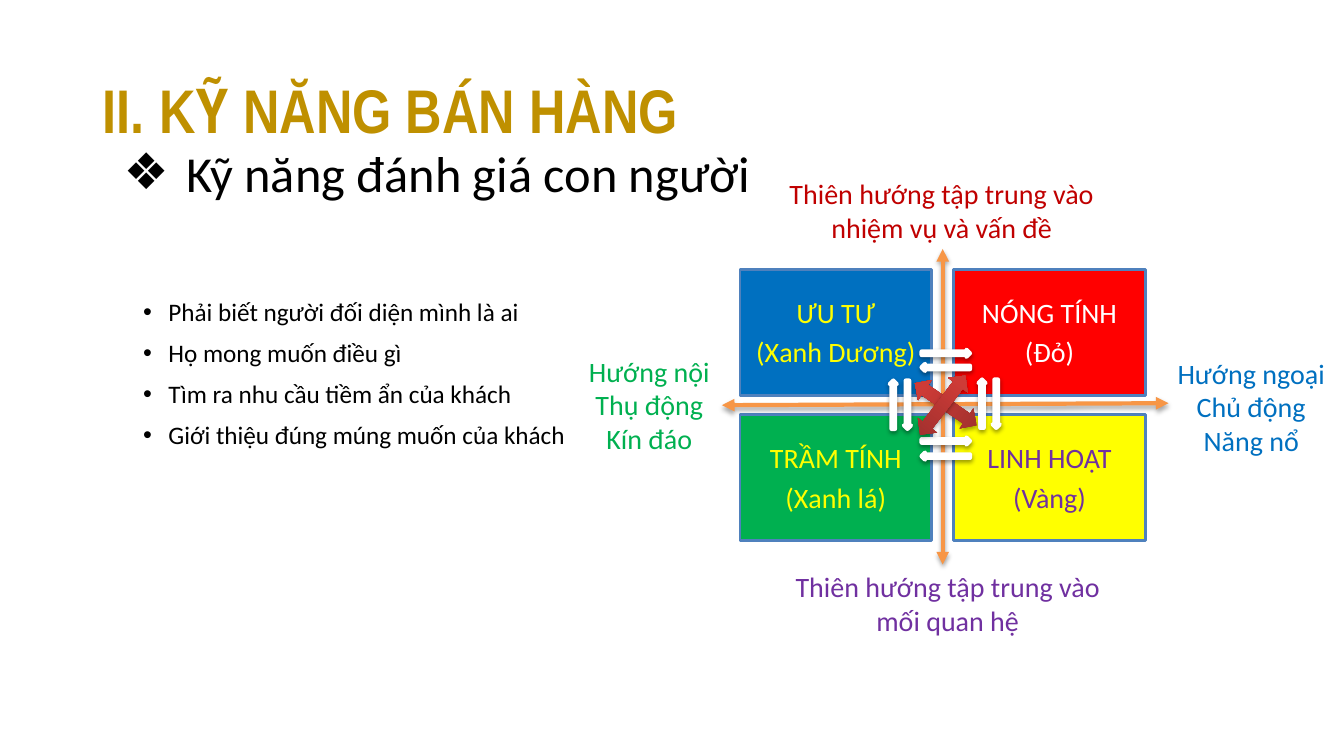
"""Build the sales skills slide on reading four personality types."""
from lxml import etree
from pptx import Presentation
from pptx.dml.color import RGBColor
from pptx.enum.shapes import MSO_CONNECTOR, MSO_SHAPE
from pptx.enum.text import MSO_ANCHOR, MSO_AUTO_SIZE, PP_ALIGN
from pptx.oxml import parse_xml
from pptx.oxml.ns import nsdecls, qn
from pptx.util import Inches, Pt

GOLD = RGBColor(0xBF, 0x90, 0x00)
BLACK = RGBColor(0x00, 0x00, 0x00)
WHITE = RGBColor(0xFF, 0xFF, 0xFF)
DARK_RED = RGBColor(0xC0, 0x00, 0x00)
RED = RGBColor(0xFF, 0x00, 0x00)
BLUE = RGBColor(0x00, 0x70, 0xC0)
GREEN = RGBColor(0x00, 0xB0, 0x50)
YELLOW = RGBColor(0xFF, 0xFF, 0x00)
PURPLE = RGBColor(0x70, 0x30, 0xA0)
BORDER = RGBColor(0x4F, 0x81, 0xBD)
ORANGE = RGBColor(0xF7, 0x96, 0x46)
TEAL = RGBColor(0x4B, 0xAC, 0xC6)
OLIVE = RGBColor(0x9B, 0xBB, 0x59)
BRICK = RGBColor(0x9C, 0x2F, 0x2D)
CORAL = RGBColor(0xCE, 0x3B, 0x37)


def write_lines(text_frame, lines, size, color, align, space=0, bullet=None, indent=0):
    text_frame.word_wrap = True
    for index, line in enumerate(lines):
        paragraph = text_frame.paragraphs[0] if index == 0 else text_frame.add_paragraph()
        paragraph.text = line
        paragraph.alignment = align
        paragraph.space_before = Pt(space if index else 0)
        if bullet:
            properties = paragraph._p.get_or_add_pPr()
            properties.set("marL", str(Inches(indent)))
            properties.set("indent", str(-Inches(indent)))
            etree.SubElement(properties, qn("a:buFont")).set("typeface", "Arial")
            etree.SubElement(properties, qn("a:buChar")).set("char", bullet)
        paragraph.font.name = "Calibri"
        paragraph.font.size = Pt(size)
        paragraph.font.color.rgb = color


def add_shadow(shape, opacity):
    properties = shape._element.spPr
    for effects in properties.findall(qn("a:effectLst")):
        properties.remove(effects)
    properties.append(parse_xml(
        f'<a:effectLst {nsdecls("a")}><a:outerShdw blurRad="{Pt(3.1)}" dist="{Pt(1.8)}" '
        f'dir="5400000" rotWithShape="0"><a:srgbClr val="000000">'
        f'<a:alpha val="{opacity * 1000}"/></a:srgbClr></a:outerShdw></a:effectLst>'))


presentation = Presentation()
presentation.slide_width = Inches(13.33)
presentation.slide_height = Inches(7.5)
slide = presentation.slides.add_slide(presentation.slide_layouts[1])
shapes = slide.shapes

title, body = shapes.title, slide.placeholders[1]
title.left, title.top, title.width, title.height = map(Inches, (0.92, 0.4, 11.5, 1.45))
title.text_frame.text = "II. KỸ NĂNG BÁN HÀNG"
title.text_frame.vertical_anchor = MSO_ANCHOR.MIDDLE
heading = title.text_frame.paragraphs[0]
heading.alignment = PP_ALIGN.LEFT
heading.line_spacing = 0.9
heading.font.name = "Arial Narrow"
heading.font.size = Pt(44)
heading.font.bold = True
heading.font.color.rgb = GOLD

body.left, body.top, body.width, body.height = map(Inches, (1.32, 2.92, 5.54, 3.69))
advice = ["Phải biết người đối diện mình là ai", "Họ mong muốn điều gì",
          "Tìm ra nhu cầu tiềm ẩn của khách", "Giới thiệu đúng múng muốn của khách"]
write_lines(body.text_frame, advice, 18, BLACK, PP_ALIGN.LEFT, 10, "•", 0.25)
for paragraph in body.text_frame.paragraphs:
    paragraph.line_spacing = 0.9

subtitle = shapes.add_textbox(Inches(1.09), Inches(1.36), Inches(6.49), Inches(0.71))
write_lines(subtitle.text_frame, ["Kỹ năng đánh giá con người"], 36, BLACK,
            PP_ALIGN.CENTER, bullet="❖", indent=0.62)
subtitle.text_frame.word_wrap = False
subtitle.text_frame.auto_size = MSO_AUTO_SIZE.SHAPE_TO_FIT_TEXT

quadrants = [
    (["ƯU TƯ", "(Xanh Dương)"], BLUE, YELLOW),
    (["NÓNG TÍNH", "(Đỏ)"], RED, WHITE),
    (["TRẦM TÍNH", "(Xanh lá)"], GREEN, YELLOW),
    (["LINH HOẠT", "(Vàng)"], YELLOW, PURPLE),
]
for index, (lines, fill, color) in enumerate(quadrants):
    row, column = divmod(index, 2)
    box = shapes.add_shape(MSO_SHAPE.RECTANGLE, Inches(7.34 + 2.12 * column),
                           Inches(2.67 + 1.44 * row), Inches(1.9), Inches(1.25))
    box.shadow.inherit = False
    box.fill.solid()
    box.fill.fore_color.rgb = fill
    box.line.color.rgb = BORDER
    box.line.width = Pt(2)
    box.text_frame.vertical_anchor = MSO_ANCHOR.MIDDLE
    write_lines(box.text_frame, lines, 20, color, PP_ALIGN.CENTER, 4)

axis_labels = [
    (["Thiên hướng tập trung vào nhiệm vụ và vấn đề"], 7.42, 1.46, 3.84, DARK_RED),
    (["Thiên hướng tập trung vào mối quan hệ"], 7.57, 5.36, 3.66, PURPLE),
    (["Hướng ngoại", "Chủ động", "Năng nổ"], 11.46, 3.41, 1.9, BLUE),
    (["Hướng nội", "Thụ động", "Kín đáo"], 5.49, 3.39, 1.9, GREEN),
]
for lines, left, top, width, color in axis_labels:
    label = shapes.add_textbox(Inches(left), Inches(top), Inches(width), Inches(1.25))
    label.text_frame.vertical_anchor = MSO_ANCHOR.MIDDLE
    write_lines(label.text_frame, lines, 20, color, PP_ALIGN.CENTER)

for ends in [(9.35, 2.47, 9.35, 5.6), (7.16, 4.02, 11.59, 4)]:
    axis = shapes.add_connector(MSO_CONNECTOR.STRAIGHT, *map(Inches, ends))
    axis.line.color.rgb = ORANGE
    axis.line.width = Pt(3)
    for end in ("a:headEnd", "a:tailEnd"):
        etree.SubElement(axis.line._ln, qn(end)).set("type", "triangle")
    add_shadow(axis, 35)

arrow_pairs = [
    ((9.14, 3.47, 0), (9.14, 3.61, 180)),
    ((9.14, 4.34, 0), (9.14, 4.49, 180)),
    ((9.64, 3.97, 90), (9.5, 3.97, 270)),
    ((8.76, 3.98, 90), (8.62, 3.98, 270)),
]
for pair in arrow_pairs:
    for (left, top, rotation), color in zip(pair, (TEAL, OLIVE)):
        arrow = shapes.add_shape(MSO_SHAPE.RIGHT_ARROW, Inches(left), Inches(top),
                                 Inches(0.48), Inches(0.07))
        arrow.rotation = rotation
        arrow.fill.solid()
        arrow.fill.fore_color.rgb = color
        arrow.line.color.rgb = WHITE
        arrow.line.width = Pt(3)
        add_shadow(arrow, 38)

for left, top, rotation in [(9.26, 3.64, 304.3), (9.23, 3.65, 37.4)]:
    diagonal = shapes.add_shape(MSO_SHAPE.UP_DOWN_ARROW, Inches(left), Inches(top),
                                Inches(0.24), Inches(0.74))
    diagonal.rotation = rotation
    diagonal.fill.gradient()
    diagonal.fill.gradient_angle = 90
    for stop, color, position in zip(diagonal.fill.gradient_stops, (BRICK, CORAL), (0, 0.8)):
        stop.color.rgb = color
        stop.position = position
    diagonal.line.fill.background()
    add_shadow(diagonal, 35)

presentation.save("out.pptx")
